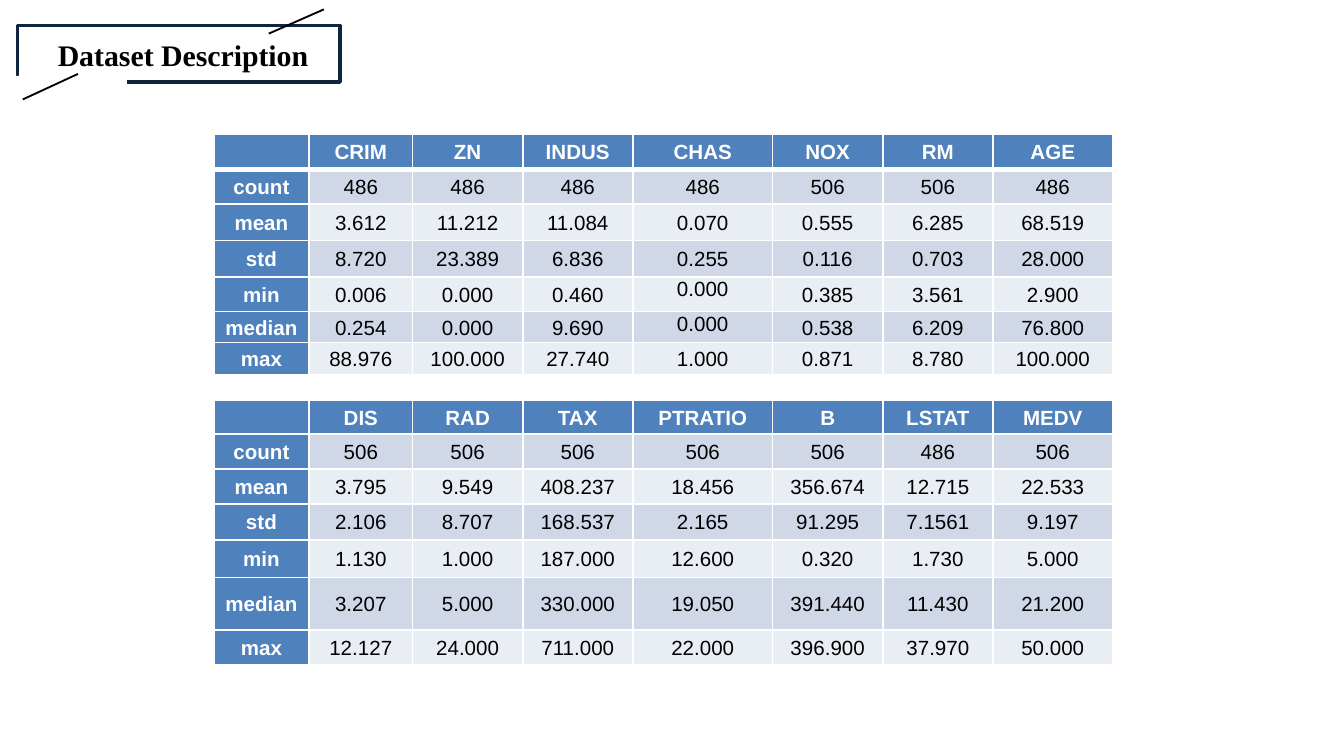
from lxml import etree
from pptx import Presentation
from pptx.dml.color import RGBColor
from pptx.enum import shapes, text
from pptx.oxml.ns import qn
from pptx.util import Inches, Pt

WHITE = RGBColor(0xFF, 0xFF, 0xFF)
BLACK = RGBColor(0x00, 0x00, 0x00)
NAVY = RGBColor(0x0F, 0x24, 0x3E)
HEADER_BLUE = RGBColor(0x4F, 0x81, 0xBD)
BAND_DARK = RGBColor(0xD0, 0xD8, 0xE8)
BAND_LIGHT = RGBColor(0xE9, 0xED, 0xF4)

COLUMN_WIDTHS = [0.71, 0.77, 0.82, 0.82, 1.04, 0.82, 0.82, 0.89]
ROW_HEIGHTS = [0.26, 0.26, 0.27, 0.27, 0.26, 0.23, 0.24, 0.19,
               0.25, 0.26, 0.26, 0.27, 0.28, 0.39, 0.26]
SPACER_ROW = 7
HEADER_ROWS = (0, 8)
TOP_ANCHORED = {(4, 4), (5, 4)}
ROWS = [
    ["", "CRIM", "ZN", "INDUS", "CHAS", "NOX", "RM", "AGE"],
    ["count", "486", "486", "486", "486", "506", "506", "486"],
    ["mean", "3.612", "11.212", "11.084", "0.070", "0.555", "6.285", "68.519"],
    ["std", "8.720", "23.389", "6.836", "0.255", "0.116", "0.703", "28.000"],
    ["min", "0.006", "0.000", "0.460", "0.000", "0.385", "3.561", "2.900"],
    ["median", "0.254", "0.000", "9.690", "0.000", "0.538", "6.209", "76.800"],
    ["max", "88.976", "100.000", "27.740", "1.000", "0.871", "8.780", "100.000"],
    [""] * 8,
    ["", "DIS", "RAD", "TAX", "PTRATIO", "B", "LSTAT", "MEDV"],
    ["count", "506", "506", "506", "506", "506", "486", "506"],
    ["mean", "3.795", "9.549", "408.237", "18.456", "356.674", "12.715", "22.533"],
    ["std", "2.106", "8.707", "168.537", "2.165", "91.295", "7.1561", "9.197"],
    ["min", "1.130", "1.000", "187.000", "12.600", "0.320", "1.730", "5.000"],
    ["median", "3.207", "5.000", "330.000", "19.050", "391.440", "11.430", "21.200"],
    ["max", "12.127", "24.000", "711.000", "22.000", "396.900", "37.970", "50.000"],
]


def set_format(target, values):
    for name, value in values.items():
        setattr(target, name, value)


def add_borders(cell, bottom_width):
    properties = cell._tc.get_or_add_tcPr()
    widths = {"a:lnL": 1, "a:lnR": 1, "a:lnT": 1, "a:lnB": bottom_width}
    for position, (tag, width) in enumerate(widths.items()):
        line = etree.Element(qn(tag), w=str(Pt(width)))
        fill = etree.SubElement(line, qn("a:solidFill"))
        etree.SubElement(fill, qn("a:srgbClr"), val=str(WHITE))
        properties.insert(position, line)


presentation = Presentation()
presentation.slide_width = Inches(10)
presentation.slide_height = presentation.slide_width * 9 // 16
slide = presentation.slides.add_slide(presentation.slide_layouts[5])

frame = slide.shapes.add_shape(shapes.MSO_SHAPE.RECTANGLE, Inches(1.12), Inches(-0.8),
                               Inches(0.42), Inches(2.4))
frame.fill.background()
frame.line.color.rgb = NAVY
frame.line.width = Pt(2)
corner_gap = slide.shapes.add_shape(shapes.MSO_SHAPE.RECTANGLE, Inches(0.32), Inches(0.02),
                                    Inches(0.08), Inches(1.17))
corner_gap.fill.solid()
corner_gap.fill.fore_color.rgb = WHITE
corner_gap.line.fill.background()
for shape in (frame, corner_gap):
    shape.rotation = 270
    shape.shadow.inherit = False

for ends in [(2.41, 0.07, 2, 0.25), (0.58, 0.55, 0.17, 0.74)]:
    slash = slide.shapes.add_connector(shapes.MSO_CONNECTOR.STRAIGHT, *map(Inches, ends))
    slash.line.color.rgb = BLACK
    slash.line.width = Pt(1)
    etree.SubElement(slash._element.spPr, qn("a:effectLst"))

title = slide.shapes.title
set_format(title, {"left": Inches(0.33), "top": Inches(0.22),
                   "width": Inches(3.24), "height": Inches(0.37)})
title.text_frame.text = "Dataset Description"
set_format(title.text_frame, {"word_wrap": True,
                              "auto_size": text.MSO_AUTO_SIZE.SHAPE_TO_FIT_TEXT,
                              "vertical_anchor": text.MSO_ANCHOR.TOP})
paragraph = title.text_frame.paragraphs[0]
paragraph.alignment = text.PP_ALIGN.LEFT
set_format(paragraph.runs[0].font, {"name": "Times New Roman", "size": Pt(16), "bold": True})
paragraph.runs[0].font.color.rgb = BLACK

table = slide.shapes.add_table(len(ROWS), len(COLUMN_WIDTHS), Inches(1.59), Inches(1),
                               Inches(sum(COLUMN_WIDTHS)), Inches(sum(ROW_HEIGHTS))).table
set_format(table, {"first_row": False, "horz_banding": False})
for column, width in zip(table.columns, COLUMN_WIDTHS):
    column.width = Inches(width)

for row_index, values in enumerate(ROWS):
    table.rows[row_index].height = Inches(ROW_HEIGHTS[row_index])
    for column_index, value in enumerate(values):
        cell = table.cell(row_index, column_index)
        is_header = row_index in HEADER_ROWS or column_index == 0
        top_anchored = (row_index, column_index) in TOP_ANCHORED
        set_format(cell, {
            "margin_left": Inches(0.05), "margin_right": Inches(0.05),
            "margin_top": 0, "margin_bottom": 0,
            "vertical_anchor": text.MSO_ANCHOR.TOP if top_anchored else text.MSO_ANCHOR.MIDDLE})
        if row_index == SPACER_ROW:
            cell.fill.background()
        else:
            cell.fill.solid()
            band = BAND_DARK if row_index % (SPACER_ROW + 1) % 2 else BAND_LIGHT
            cell.fill.fore_color.rgb = HEADER_BLUE if is_header else band
        add_borders(cell, 3 if row_index == 0 else 1)

        paragraph = cell.text_frame.paragraphs[0]
        set_format(paragraph, {"alignment": text.PP_ALIGN.CENTER, "line_spacing": 1.07})
        if value:
            run = paragraph.add_run()
            run.text = value
            set_format(run.font, {"name": "Arial", "size": Pt(11), "bold": is_header})
            run.font.color.rgb = WHITE if is_header else BLACK
        else:
            etree.SubElement(paragraph._p, qn("a:endParaRPr"), sz="1000")

presentation.save("out.pptx")
